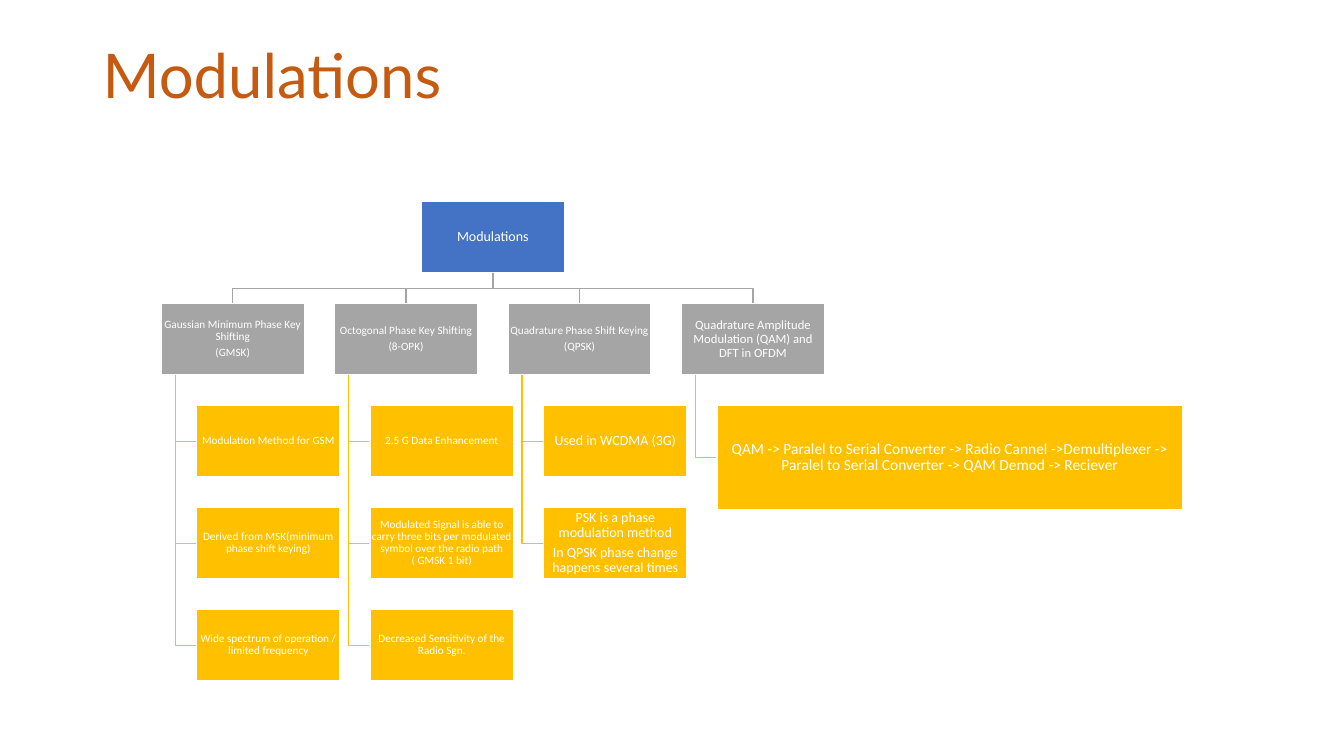
from pptx import Presentation
from pptx.dml.color import RGBColor
from pptx.enum.shapes import MSO_SHAPE
from pptx.enum.text import MSO_ANCHOR, MSO_AUTO_SIZE, PP_ALIGN
from pptx.util import Cm, Pt

BLUE, GRAY, GOLD = "4472C4", "A5A5A5", "FFC000"
WHITE, ORANGE = "FFFFFF", "C55A11"

BOX_WIDTH, BOX_HEIGHT = 3.61, 1.8
COLUMN_PITCH, ROW_PITCH = 4.37, 2.57
FIRST_LEFT, ROOT_TOP = 4.06, 5.08
CHILD_INDENT, TRUNK_INDENT = 0.9, 0.36
WIDE_BOX = (11.74, 2.62)

# Each branch: heading paragraphs, heading size, children (paragraphs, size, box size)
SMALL_BOX = (BOX_WIDTH, BOX_HEIGHT)
BRANCHES = [
    (["Gaussian Minimum Phase Key Shifting", "(GMSK)"], 8, [
        (["Modulation Method for GSM"], 8, SMALL_BOX),
        (["Derived from MSK(minimum phase shift keying)"], 8, SMALL_BOX),
        (["Wide spectrum of operation / limited frequency"], 8, SMALL_BOX),
    ]),
    (["Octogonal Phase Key Shifting", "(8-OPK)"], 8, [
        (["2.5 G Data Enhancement"], 8, SMALL_BOX),
        (["Modulated Signal is able to carry three bits per modulated symbol "
          "over the radio path ( GMSK 1 bit)"], 8, SMALL_BOX),
        (["Decreased Sensitivity of the Radio Sgn."], 8, SMALL_BOX),
    ]),
    (["Quadrature Phase Shift Keying", "(QPSK)"], 8, [
        (["Used in WCDMA (3G)"], 10, SMALL_BOX),
        (["PSK is a phase modulation method",
          "In QPSK phase change happens several times"], 10, SMALL_BOX),
    ]),
    (["Quadrature Amplitude Modulation (QAM) and DFT in OFDM"], 9, [
        (["QAM -> Paralel to Serial Converter -> Radio Cannel ->Demultiplexer -> "
          "Paralel to Serial Converter -> QAM Demod -> Reciever"], 11, WIDE_BOX),
    ]),
]


def color(hex_code):
    return RGBColor.from_string(hex_code)


class ChartSlide:
    """Holds the text style and the slide being drawn; lengths are in cm."""

    title_font = "Lato"
    body_font = "Calibri"
    line_width = Pt(1)

    def __init__(self, presentation):
        self.slide = presentation.slides.add_slide(presentation.slide_layouts[5])

    def add_run(self, paragraph, text, size, font_name, font_color):
        paragraph.line_spacing = 0.9
        run = paragraph.add_run()
        run.text = text
        run.font.name = font_name
        run.font.size = Pt(size)
        run.font.color.rgb = color(font_color)

    def title(self, text, left, top, width, height):
        shape = self.slide.shapes.title
        shape.left, shape.top = Cm(left), Cm(top)
        shape.width, shape.height = Cm(width), Cm(height)
        frame = shape.text_frame
        frame.auto_size = MSO_AUTO_SIZE.NONE
        frame.vertical_anchor = MSO_ANCHOR.TOP
        paragraph = frame.paragraphs[0]
        paragraph.alignment = PP_ALIGN.LEFT
        self.add_run(paragraph, text, 44, self.title_font, ORANGE)

    def box(self, left, top, box_size, fill, texts, size):
        width, height = box_size
        shape = self.slide.shapes.add_shape(
            MSO_SHAPE.RECTANGLE, Cm(left), Cm(top), Cm(width), Cm(height))
        shape.shadow.inherit = False
        shape.fill.solid()
        shape.fill.fore_color.rgb = color(fill)
        shape.line.color.rgb = color(WHITE)
        shape.line.width = self.line_width
        frame = shape.text_frame
        frame.word_wrap = True
        frame.vertical_anchor = MSO_ANCHOR.MIDDLE
        frame.margin_left = frame.margin_right = Cm(0.03)
        frame.margin_top = frame.margin_bottom = Cm(0.03)
        for index, text in enumerate(texts):
            paragraph = frame.add_paragraph() if index else frame.paragraphs[0]
            paragraph.alignment = PP_ALIGN.CENTER
            paragraph.space_after = Pt(size * 0.35)
            self.add_run(paragraph, text, size, self.body_font, WHITE)

    def bent_line(self, points, line_color):
        """Draw an open line with right-angled bends through the points."""
        start, *others = [(Cm(x), Cm(y)) for x, y in points]
        builder = self.slide.shapes.build_freeform(*start)
        builder.add_line_segments(others, close=False)
        shape = builder.convert_to_shape()
        shape.shadow.inherit = False
        shape.fill.background()
        shape.line.color.rgb = color(line_color)
        shape.line.width = self.line_width


def draw_tree(chart):
    root_left = FIRST_LEFT + COLUMN_PITCH * (len(BRANCHES) - 1) / 2
    root_middle = root_left + BOX_WIDTH / 2
    root_bottom = ROOT_TOP + BOX_HEIGHT
    heading_top = ROOT_TOP + ROW_PITCH
    bend = (root_bottom + heading_top) / 2

    chart.box(root_left, ROOT_TOP, SMALL_BOX, BLUE, ["Modulations"], 10)
    for column, (heading, heading_size, children) in enumerate(BRANCHES):
        left = FIRST_LEFT + column * COLUMN_PITCH
        middle = left + BOX_WIDTH / 2
        chart.bent_line([(root_middle, root_bottom), (root_middle, bend),
                         (middle, bend), (middle, heading_top)], GRAY)
        chart.box(left, heading_top, SMALL_BOX, GRAY, heading, heading_size)

        trunk, child_left = left + TRUNK_INDENT, left + CHILD_INDENT
        for row, (texts, size, box_size) in enumerate(children, start=1):
            top = heading_top + row * ROW_PITCH
            center = top + box_size[1] / 2
            chart.bent_line([(trunk, heading_top + BOX_HEIGHT), (trunk, center),
                             (child_left, center)], GOLD)
            chart.box(child_left, top, box_size, GOLD, texts, size)


def main():
    presentation = Presentation()
    presentation.slide_width, presentation.slide_height = Cm(33.87), Cm(19.05)
    chart = ChartSlide(presentation)
    chart.title("Modulations", 2.33, 1.01, 29.21, 3.68)
    draw_tree(chart)
    presentation.save("out.pptx")


if __name__ == "__main__":
    main()
